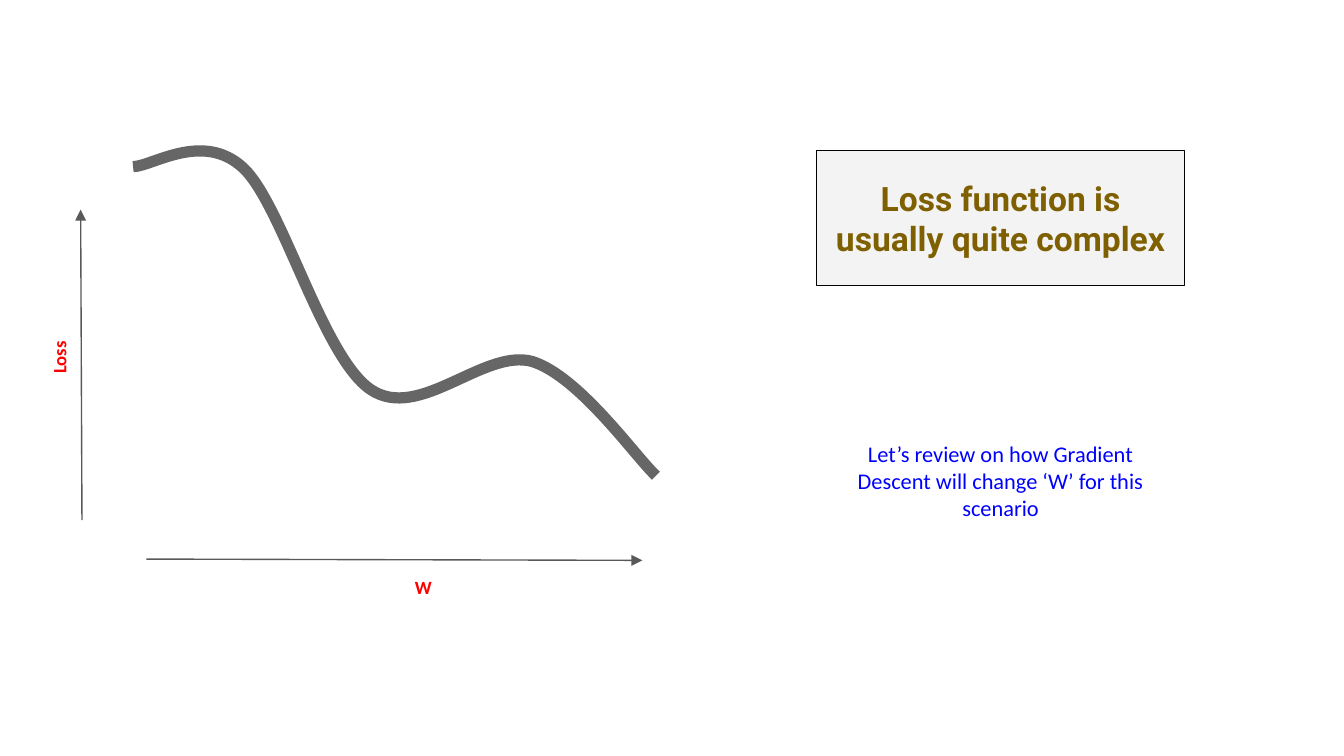
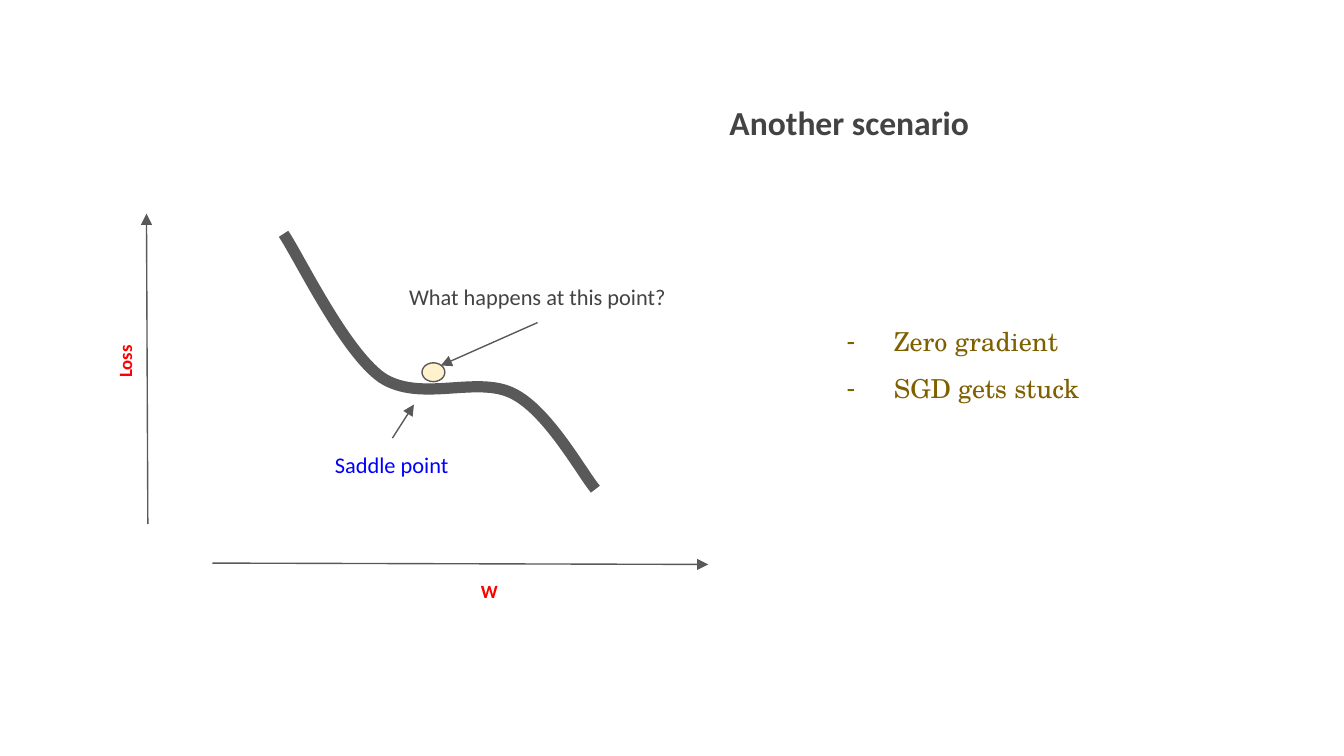
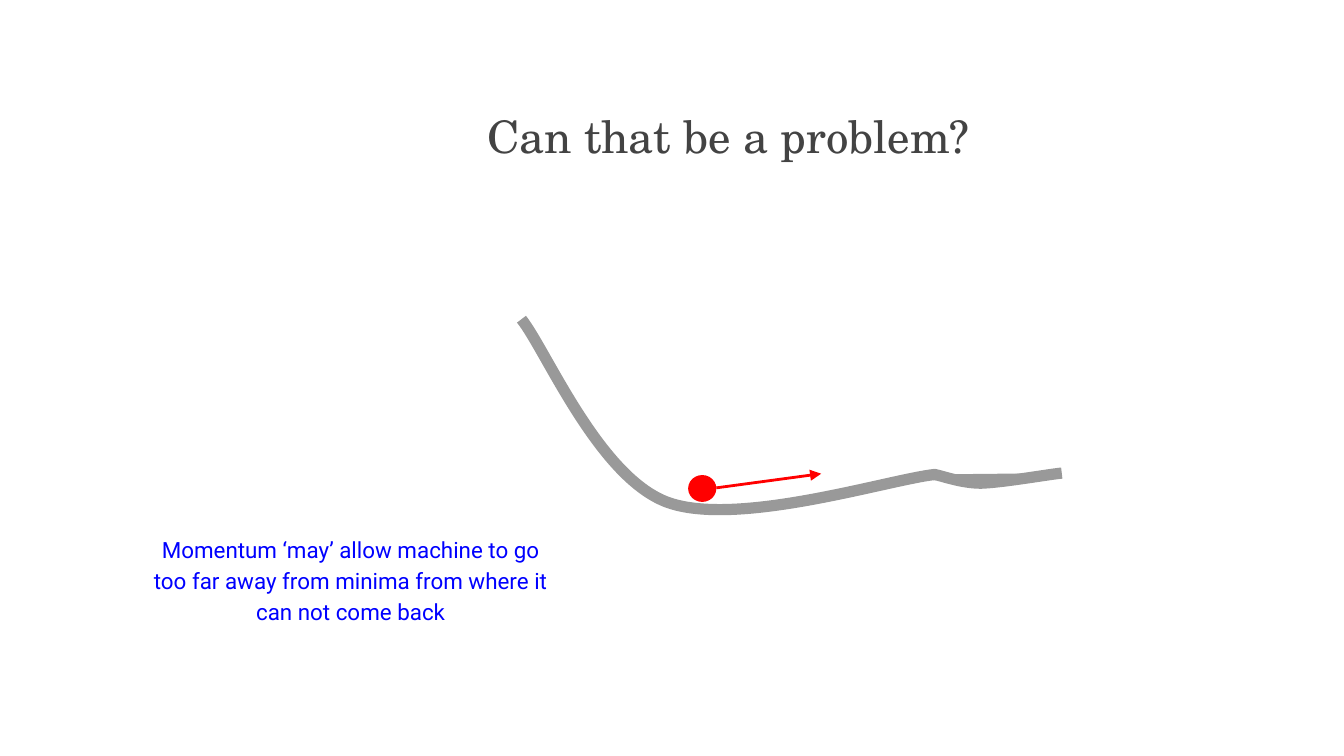
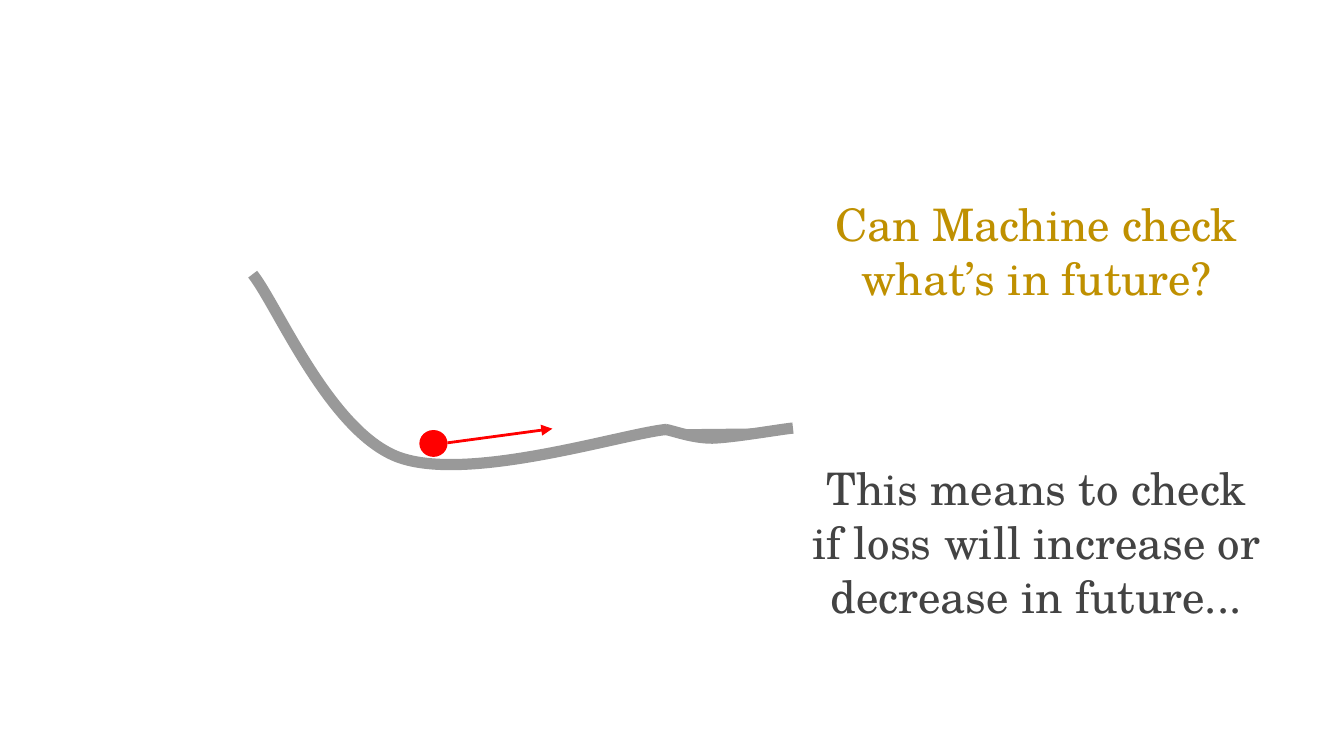
from dataclasses import dataclass

from lxml import etree
from pptx import Presentation
from pptx.dml.color import RGBColor
from pptx.enum.shapes import MSO_CONNECTOR, MSO_SHAPE
from pptx.enum.text import MSO_ANCHOR, MSO_AUTO_SIZE, PP_ALIGN
from pptx.oxml.ns import qn
from pptx.util import Inches, Pt

LINE = MSO_CONNECTOR.STRAIGHT
OVAL = MSO_SHAPE.OVAL
TOP, MIDDLE = MSO_ANCHOR.TOP, MSO_ANCHOR.MIDDLE
LEFT, CENTER = PP_ALIGN.LEFT, PP_ALIGN.CENTER
NO_FIT = MSO_AUTO_SIZE.NONE

# Grid: square cells, 100 columns across the slide
COLUMNS, ROWS = 100, 56.25
CELL = Inches(10) / COLUMNS
CURVE_STEPS = 40
TITLE_AND_BODY, TITLE_ONLY = 1, 5

Point = tuple[float, float]


@dataclass(frozen=True)
class TextStyle:
    size: float
    font: str
    color: str
    bold: bool = False


@dataclass(frozen=True)
class Theme:
    """Colours, line widths and type styles."""
    black: str = "000000"
    panel: str = "F3F3F3"
    cream: str = "FFF2CC"
    red: str = "FF0000"
    axis: str = "595959"
    hill: str = "666666"
    slope: str = "999999"
    thin: float = 0.75
    arrow: float = 1.5
    thick: float = 6
    panel_title: TextStyle = TextStyle(18, "Roboto", "7F6000", True)
    scene_title: TextStyle = TextStyle(18, "Calibri", "434343", True)
    question: TextStyle = TextStyle(24, "TeX Gyre Schola", "434343")
    gold_question: TextStyle = TextStyle(24, "TeX Gyre Schola", "BF9000")
    bullet: TextStyle = TextStyle(14, "TeX Gyre Schola", "7F6000")
    axis_label: TextStyle = TextStyle(10, "Calibri", "FF0000", True)
    remark: TextStyle = TextStyle(12, "Calibri", "434343")
    blue_remark: TextStyle = TextStyle(12, "Calibri", "0000FF")
    blue_note: TextStyle = TextStyle(12, "Roboto", "0000FF")


THEME = Theme()


@dataclass(frozen=True)
class Box:
    """Left, top, width and height in grid cells."""
    x: float
    y: float
    w: float
    h: float

    def emu(self) -> list[int]:
        return [cells(v) for v in (self.x, self.y, self.w, self.h)]


def cells(count: float) -> int:
    return round(count * CELL)


def rgb(color: str) -> RGBColor:
    return RGBColor.from_string(color)


def apply(target, formats: dict) -> None:
    for name, value in formats.items():
        setattr(target, name, value)


def shift(points: list[Point], offset: Point) -> list[Point]:
    return [(x + offset[0], y + offset[1]) for x, y in points]


# Text
def write(sp, lines: list[str], style: TextStyle, anchor=TOP, align=CENTER,
          spacing: float = 1.0) -> None:
    tf = sp.text_frame
    margin = cells(1)
    apply(tf, dict(word_wrap=True, auto_size=NO_FIT, vertical_anchor=anchor,
                   margin_left=margin, margin_right=margin,
                   margin_top=margin, margin_bottom=margin))
    tf.text = "\n".join(lines)
    for p in tf.paragraphs:
        apply(p, dict(alignment=align, line_spacing=spacing,
                      space_before=Pt(0), space_after=Pt(0)))
        for r in p.runs:
            apply(r.font, dict(size=Pt(style.size), name=style.font,
                               bold=style.bold))
            r.font.color.rgb = rgb(style.color)


def add_text(s, box: Box, text: str, style: TextStyle, anchor=TOP,
             spacing: float = 1.0, rotation: float = 0) -> None:
    sp = s.shapes.add_textbox(*box.emu())
    sp.rotation = rotation
    write(sp, [text], style, anchor, spacing=spacing)


def place(sp, box: Box) -> None:
    apply(sp, dict(zip(("left", "top", "width", "height"), box.emu())))


def set_title(s, box: Box, text: str, style: TextStyle, anchor=MIDDLE):
    sp = s.shapes.title
    place(sp, box)
    write(sp, [text], style, anchor)
    return sp


def set_dash_list(s, box: Box, items: list[str], style: TextStyle) -> None:
    sp = s.placeholders[1]
    place(sp, box)
    write(sp, items, style, align=LEFT, spacing=1.5)
    for p in sp.text_frame.paragraphs:
        pPr = p._p.get_or_add_pPr()
        pPr.set("marL", str(cells(5)))
        pPr.set("indent", str(cells(-3.5)))
        color = etree.SubElement(pPr, qn("a:buClr"))
        etree.SubElement(color, qn("a:srgbClr"), val=style.color)
        etree.SubElement(pPr, qn("a:buChar"), char="-")


# Shapes and lines
def paint(sp, fill: str | None, line: str | None, width: float = 0) -> None:
    if fill:
        sp.fill.solid()
        sp.fill.fore_color.rgb = rgb(fill)
    else:
        sp.fill.background()
    if line:
        sp.line.color.rgb = rgb(line)
        sp.line.width = Pt(width)
    else:
        sp.line.fill.background()


def add_ball(s, box: Box, fill: str, line: str | None = None) -> None:
    sp = s.shapes.add_shape(OVAL, *box.emu())
    sp.shadow.inherit = False
    paint(sp, fill, line, THEME.thin)


def add_arrow(s, start: Point, end: Point, color: str = THEME.axis,
              width: float = THEME.thin) -> None:
    line = s.shapes.add_connector(LINE, *map(cells, start + end))
    line.line.color.rgb = rgb(color)
    line.line.width = Pt(width)
    spPr = line._element.spPr
    etree.SubElement(spPr.find(qn("a:ln")), qn("a:tailEnd"), type="triangle")
    etree.SubElement(spPr, qn("a:effectLst"))


def bezier(a: Point, b: Point, c: Point, d: Point, t: float) -> Point:
    u = 1 - t
    weights = (u ** 3, 3 * u * u * t, 3 * u * t * t, t ** 3)
    return tuple(sum(w * p[i] for w, p in zip(weights, (a, b, c, d)))
                 for i in (0, 1))


def add_curve(s, points: list[Point], color: str,
              fill: str | None = None) -> None:
    """Draw joined cubic curves: a start, then three points per curve."""
    nodes = [(cells(x), cells(y)) for x, y in points]
    # Points along the curve give the outline its true bounds
    track = [bezier(*nodes[i:i + 4], step / CURVE_STEPS)
             for i in range(0, len(nodes) - 1, 3)
             for step in range(1, CURVE_STEPS + 1)]
    builder = s.shapes.build_freeform(*nodes[0])
    builder.add_line_segments(track, close=False)
    sp = builder.convert_to_shape()
    sp.shadow.inherit = False
    paint(sp, fill, color, THEME.thick)
    # Smooth segments take the place of the short straight ones
    outline = sp._element.spPr.find(".//" + qn("a:path"))
    for segment in outline.findall(qn("a:lnTo")):
        outline.remove(segment)
    for i in range(1, len(nodes), 3):
        curve = etree.SubElement(outline, qn("a:cubicBezTo"))
        for x, y in nodes[i:i + 3]:
            etree.SubElement(curve, qn("a:pt"), x=str(x - sp.left),
                             y=str(y - sp.top))


# Repeated scenes
def add_axes(s, x: float, y: float) -> None:
    """Loss and W axes; x, y is the foot of the Loss axis."""
    add_arrow(s, (x + 4.8, y + 2.9), (x + 41.7, y + 3))
    add_text(s, Box(x + 21.5, y + 3.15, 7.8, 2.8), "W", THEME.axis_label)
    add_arrow(s, (x, y), (x - 0.1, y - 23.1))
    add_text(s, Box(x - 6.05, y - 13.5, 7.8, 2.8), "Loss", THEME.axis_label,
             rotation=270)


VALLEY = [(0, 0), (1.8, 2.25), (5.7, 11.65), (10.8, 13.6),
          (16, 15.55), (27.4, 11.9), (30.8, 11.55)]
DIP = [(30.7, 11.55), (31.3, 11.65), (32.7, 12.2), (34.2, 12.2),
       (35.8, 12.15), (39.2, 11.55), (40.2, 11.45)]


def add_rolling_ball(s, x: float, y: float) -> None:
    """Valley with a ball moving right; x, y is the valley's start."""
    add_curve(s, shift(VALLEY, (x, y)), THEME.slope)
    add_ball(s, Box(x + 12.4, y + 11.6, 2.1, 2), THEME.red)
    add_arrow(s, (x + 14.5, y + 12.55), (x + 22.3, y + 11.5),
              THEME.red, THEME.arrow)
    add_curve(s, shift(DIP, (x, y)), THEME.slope, THEME.slope)


# Slides
def complex_loss_slide(prs) -> None:
    s = prs.slides.add_slide(prs.slide_layouts[TITLE_ONLY])
    title = set_title(s, Box(60.75, 11.2, 27.4, 10.05),
                      "Loss function is usually quite complex",
                      THEME.panel_title)
    paint(title, THEME.panel, THEME.black, THEME.thin)
    add_curve(s, [(9.9, 12.4), (11.3, 12.4), (15.1, 9.7), (18.1, 12.5),
                  (21, 15.2), (24, 26.6), (27.6, 29),
                  (31.2, 31.4), (36, 25.9), (39.6, 26.9),
                  (43.1, 28), (47.3, 34), (48.8, 35.4)], THEME.hill)
    add_axes(s, 6.1, 38.7)
    add_text(s, Box(60.75, 31.75, 27.4, 9.8),
             "Let’s review on how Gradient Descent will change ‘W’ "
             "for this scenario", THEME.blue_remark)


def saddle_point_slide(prs) -> None:
    s = prs.slides.add_slide(prs.slide_layouts[TITLE_AND_BODY])
    set_title(s, Box(49.5, 6.6, 27.4, 9.8), "Another scenario",
              THEME.scene_title, TOP)
    set_dash_list(s, Box(60.5, 22.05, 28.1, 9.1),
                  ["Zero gradient", "SGD gets stuck"], THEME.bullet)
    add_curve(s, [(21.1, 17.4), (22.3, 19.2), (25.6, 26.1), (28.4, 28.1),
                  (31.3, 30), (35.5, 27.9), (38.2, 29.3),
                  (40.8, 30.6), (43.3, 35.2), (44.3, 36.4)], THEME.axis)
    add_axes(s, 11, 39)
    add_ball(s, Box(31.4, 27, 1.7, 1.4), THEME.cream, THEME.axis)
    add_text(s, Box(27.35, 20.1, 25.3, 4), "What happens at this point?",
             THEME.remark)
    add_arrow(s, (40, 24), (32.8, 27.2))
    add_text(s, Box(16.5, 32.6, 25.3, 4), "Saddle point", THEME.blue_remark)
    add_arrow(s, (29.2, 32.6), (30.8, 30.1))


def momentum_problem_slide(prs) -> None:
    s = prs.slides.add_slide(prs.slide_layouts[TITLE_ONLY])
    set_title(s, Box(14.5, 7.7, 79.4, 4.7), "Can that be a problem?",
              THEME.question)
    add_rolling_ball(s, 38.8, 23.75)
    add_text(s, Box(10.1, 37.35, 32, 11.4),
             "Momentum ‘may’ allow machine to go too far away from minima "
             "from where it can not come back", THEME.blue_note, MIDDLE, 1.15)


def look_ahead_slide(prs) -> None:
    s = prs.slides.add_slide(prs.slide_layouts[TITLE_ONLY])
    set_title(s, Box(59.05, 10.9, 36.1, 15.5),
              "Can Machine check what’s in future?", THEME.gold_question)
    add_rolling_ball(s, 18.8, 20.4)
    add_text(s, Box(59.05, 32.55, 36.1, 15.5),
             "This means to check if loss will increase or decrease "
             "in future...", THEME.question, MIDDLE)


def main() -> None:
    prs = Presentation()
    apply(prs, dict(slide_width=cells(COLUMNS), slide_height=cells(ROWS)))
    for build in (complex_loss_slide, saddle_point_slide,
                  momentum_problem_slide, look_ahead_slide):
        build(prs)
    prs.save("out.pptx")


if __name__ == "__main__":
    main()
